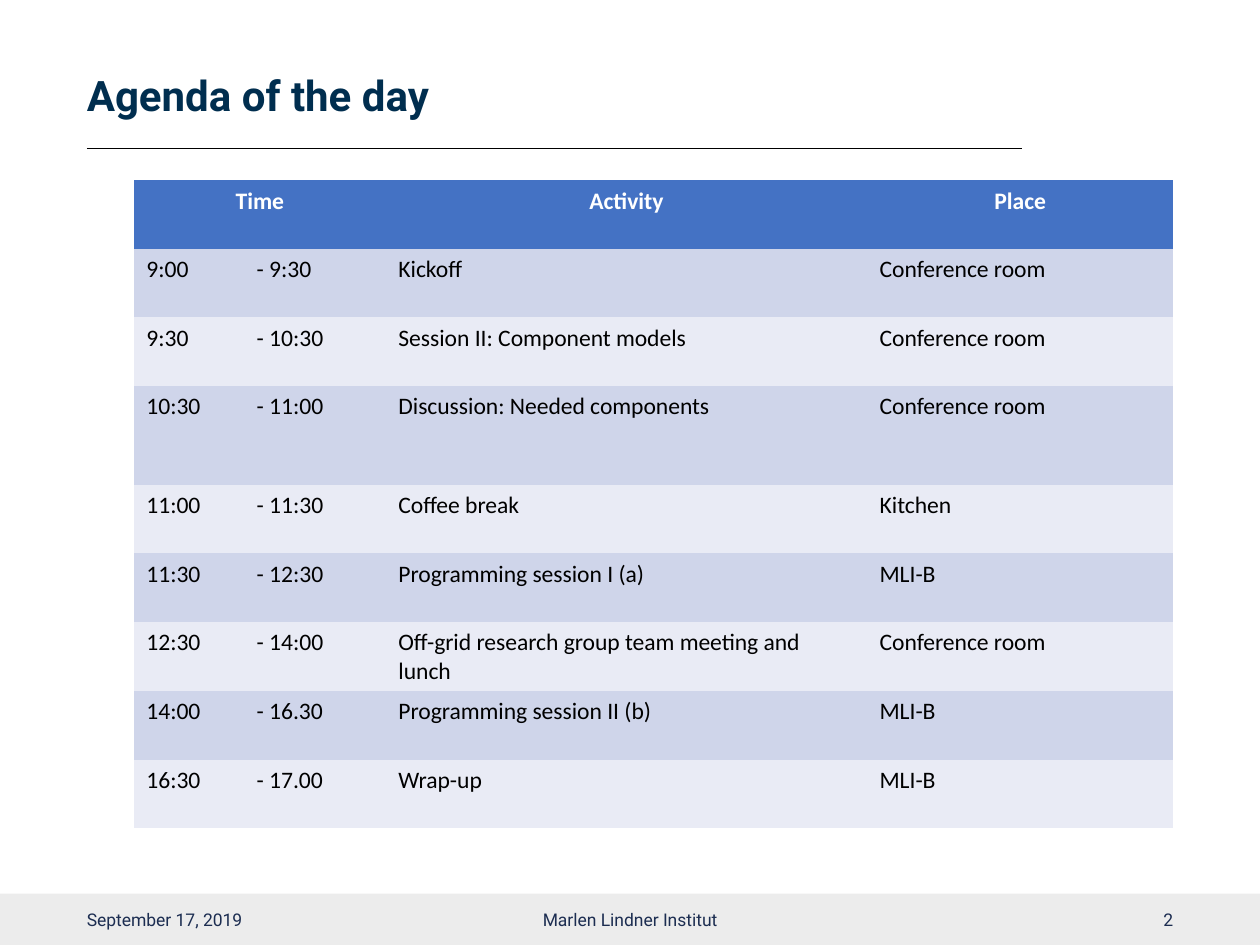
from dataclasses import dataclass
from pptx import Presentation
from pptx.dml.color import RGBColor as RGB
from pptx.enum.shapes import MSO_CONNECTOR as Conn, MSO_SHAPE as Shape
from pptx.enum.text import MSO_ANCHOR as Anchor, PP_ALIGN as Align
from pptx.oxml.ns import qn
from pptx.util import Pt
from lxml.etree import SubElement


@dataclass(frozen=True)
class Theme:
    head: str = "Roboto"
    body: str = "Calibri"
    title: float = 24
    cell: float = 13.5
    foot: float = 10
    navy: str = "002E4F"
    ink: str = "1C2D51"
    black: str = "000000"
    white: str = "FFFFFF"
    grey: str = "ECECEC"
    blue: str = "4472C4"
    bands: tuple = ("CFD5EA", "E9EBF5")


T = Theme()


def rgb(code):
    return RGB.from_string(code)


def put(frame, text, font=T.head, size=T.foot, color=T.ink, bold=False,
        align=Align.LEFT, gap=None):
    """Write one styled paragraph; gap is its line spacing."""
    frame.word_wrap = True
    par = frame.paragraphs[0]
    par.alignment = align
    par.line_spacing = gap
    run = par.add_run()
    run.text = text
    run.font.name = font
    run.font.size = Pt(size)
    run.font.bold = bold
    run.font.color.rgb = rgb(color)


deck = Presentation()
deck.slide_width, deck.slide_height = Pt(720), Pt(540)
slide = deck.slides.add_slide(deck.slide_layouts[6])
shapes = slide.shapes

# Footer band and title rule
band = shapes.add_shape(Shape.RECTANGLE, Pt(0), Pt(510.6), Pt(720), Pt(29.4))
band.shadow.inherit = False
band.fill.solid()
band.fill.fore_color.rgb = rgb(T.grey)
band.line.fill.background()

rule = shapes.add_connector(Conn.STRAIGHT, Pt(49.6), Pt(84.9), Pt(584), Pt(84.9))
rule.line.color.rgb = rgb(T.black)
rule.line.width = Pt(0.5)
SubElement(rule._element.spPr, qn("a:effectLst"))

# Title and footer texts: box, left and right inset, text, format
texts = [
    ((49.6, 27.4, 535, 57.6), 0, 7.2, "Agenda of the day",
     dict(size=T.title, color=T.navy, bold=True, gap=0.9)),
    ((49.6, 511, 162, 28.8), 0, 7.2, "September 17, 2019", {}),
    ((238.5, 511, 243, 28.8), 7.2, 7.2, "Marlen Lindner Institut",
     dict(align=Align.CENTER)),
    ((508.4, 511, 162, 28.8), 0, 0, "2", dict(align=Align.RIGHT)),
]
for area, left, right, text, form in texts:
    frame = shapes.add_textbox(*map(Pt, area)).text_frame
    frame.margin_left, frame.margin_right = Pt(left), Pt(right)
    frame.vertical_anchor = Anchor.MIDDLE
    put(frame, text, **form)

# Agenda
room = "Conference room"
lab = "MLI-B"
rows = [
    ("Time", "", "Activity", "Place"),
    ("9:00", "- 9:30", "Kickoff", room),
    ("9:30", "- 10:30", "Session II: Component models", room),
    ("10:30", "- 11:00", "Discussion: Needed components", room),
    ("11:00", "- 11:30", "Coffee break", "Kitchen"),
    ("11:30", "- 12:30", "Programming session I (a)", lab),
    ("12:30", "- 14:00", "Off-grid research group team meeting and lunch", room),
    ("14:00", "- 16.30", "Programming session II (b)", lab),
    ("16:30", "- 17.00", "Wrap-up", lab),
]
widths = (63, 81, 275, 175)
high, tall = 39.2, 56.5

table = shapes.add_table(len(rows), len(widths), Pt(76.5), Pt(103),
                         Pt(sum(widths)), Pt(high * 8 + tall)).table
# The plain table style has no borders
style = table._tbl.tblPr.find(qn("a:tableStyleId"))
style.text = "{2D5ABB26-0587-4C30-8999-92F81FD0307C}"
for col, width in zip(table.columns, widths):
    col.width = Pt(width)
table.cell(0, 0).merge(table.cell(0, 1))

header = dict(color=T.white, bold=True, align=Align.CENTER)
for r, row in enumerate(rows):
    table.rows[r].height = Pt(tall if r == 3 else high)
    form = dict(color=T.black) if r else header
    fill = T.bands[(r - 1) % 2] if r else T.blue
    for c, text in enumerate(row):
        cell = table.cell(r, c)
        cell.fill.solid()
        cell.fill.fore_color.rgb = rgb(fill)
        if text:
            put(cell.text_frame, text, font=T.body, size=T.cell, **form)

deck.save("out.pptx")
